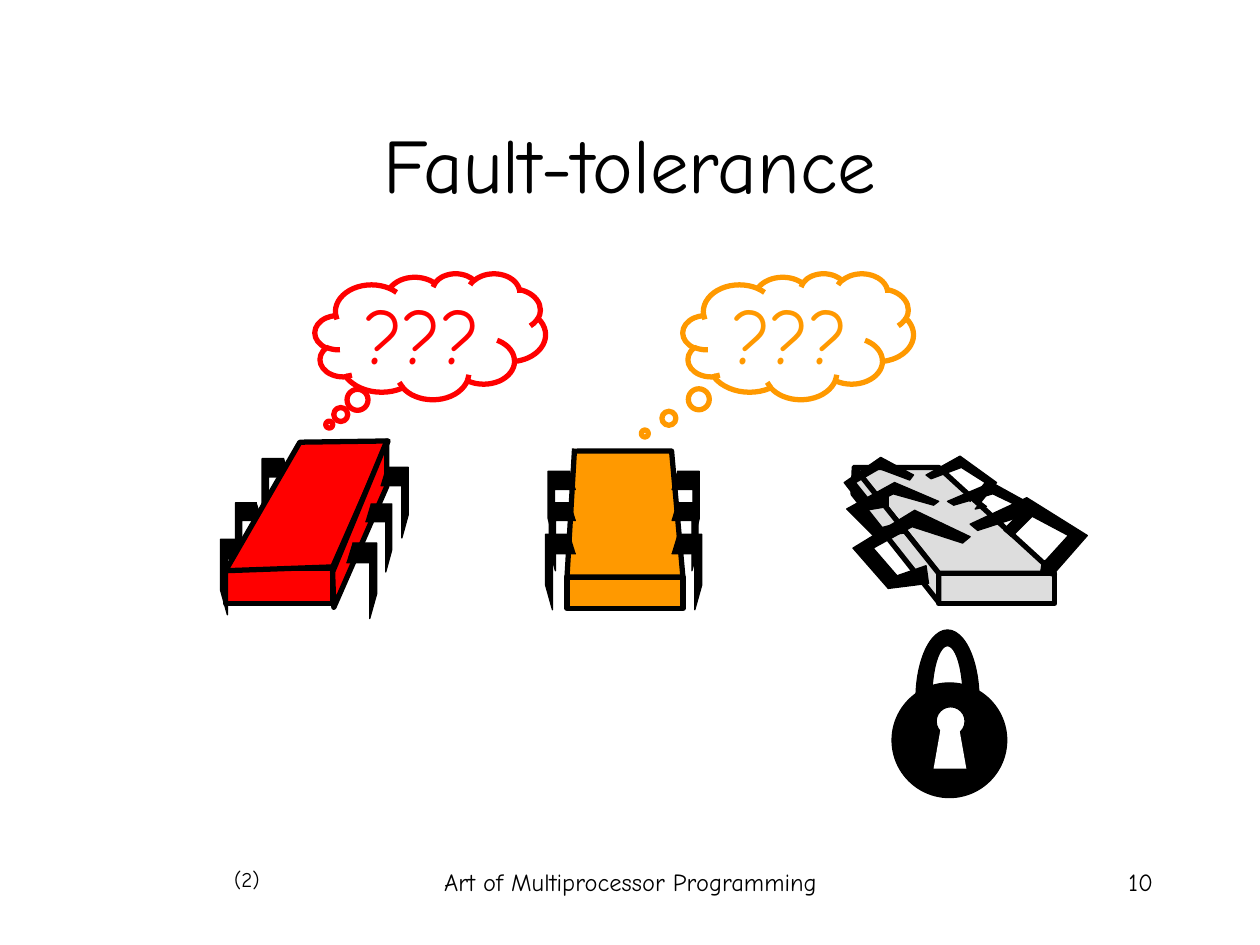
from pptx import Presentation
from pptx.dml.color import RGBColor
from pptx.enum.shapes import MSO_SHAPE
from pptx.enum.text import MSO_ANCHOR, MSO_AUTO_SIZE, PP_ALIGN
from pptx.util import Inches, Pt

RECTANGLE, ELLIPSE = MSO_SHAPE.RECTANGLE, MSO_SHAPE.OVAL
ARC, CLOUD = MSO_SHAPE.BLOCK_ARC, MSO_SHAPE.CLOUD_CALLOUT
LEFT, CENTER, RIGHT = PP_ALIGN.LEFT, PP_ALIGN.CENTER, PP_ALIGN.RIGHT
TOP, MIDDLE = MSO_ANCHOR.TOP, MSO_ANCHOR.MIDDLE

THEME = {
    "font": "Comic Neue",
    "black": "000000", "white": "FFFFFF",
    "red": "FF0000", "orange": "FF9900", "grey": "DDDDDD",
    "large": 44, "footer": 14, "note": 12,
    "thick": 3, "thin": 0.75,
}

TITLE = ("Fault-tolerance", (0.75, 0.67, 8.5, 1.25))
FOOTERS = [  # text, box, alignment, size, wraps
    ("(2)", (1.76, 6.83, 0.4, 0.3), RIGHT, "note", False),
    ("Art of Multiprocessor Programming", (3.42, 6.83, 3.17, 0.5), CENTER, "footer", True),
    ("10", (7.17, 6.83, 2.08, 0.5), RIGHT, "footer", True),
]
THOUGHTS = [  # text, box, colour, tail position
    ("???", (2.5, 2.17, 1.83, 1), "red", (-0.438, 0.7)),
    ("???", (5.42, 2.17, 1.83, 1), "orange", (-0.665, 0.771)),
]

# A leg that bends to the right, as fractions of its box; left legs mirror it.
LEG = [(0.2, 0), (1, 0), (1, 0.67), (0.77, 1), (0.77, 0.26), (0, 0.26)]
LEG_SIZES = [(0.24, 0.6), (0.21, 0.54), (0.22, 0.56)]  # front, middle, back

RED_FRONT = (1.79, 4.51, 0.85, 0.28)
RED_TOP = [(1.79, 4.53), (2.64, 4.5), (3.08, 3.5), (2.38, 3.51)]
RED_SIDE = [(3.07, 3.5), (3.07, 3.86), (2.65, 4.82), (2.64, 4.54)]
RED_LEFT_LEGS = [(1.75, 4.28), (1.87, 3.99), (2.08, 3.64)]
RED_RIGHT_LEGS = [(2.75, 4.31), (2.9, 4), (3.02, 3.71)]

ORANGE_FRONT = (4.5, 4.58, 0.92, 0.25)
ORANGE_TOP = [(4.58, 3.58), (5.33, 3.58), (5.42, 4.58), (4.5, 4.58), (4.56, 3.56)]
ORANGE_RIGHT_LEGS = [(5.33, 4.24), (5.33, 3.99), (5.33, 3.74)]
ORANGE_LEFT_LEGS = [(4.33, 4.24), (4.36, 3.99), (4.35, 3.74)]

GREY_TOP = [(6.78, 3.71), (7.45, 4.55), (8.37, 4.55), (7.45, 3.71)]
GREY_FRONT = (7.45, 4.55, 0.92, 0.24)
GREY_SIDE = [(6.78, 3.71), (6.77, 3.92), (7.45, 4.78), (7.45, 4.55)]
GREY_LEGS = [
    [(7.35, 4.49), (7.37, 4.63), (7.05, 4.67), (6.77, 4.35), (7.26, 4.05),
     (7.7, 4.26), (7.64, 4.31), (7.24, 4.18), (6.93, 4.35), (7.12, 4.57)],
    [(7.18, 4.14), (7.19, 4.23), (6.94, 4.26), (6.72, 4.04), (7.1, 3.83),
     (7.45, 3.98), (7.41, 4.01), (7.09, 3.92), (6.85, 4.04), (6.99, 4.19)],
    [(7.05, 3.93), (7.05, 4.02), (6.87, 4.05), (6.7, 3.83), (6.99, 3.63),
     (7.25, 3.77), (7.22, 3.81), (6.98, 3.72), (6.79, 3.83), (6.91, 3.98)],
    [(7.94, 4.13), (7.97, 4.21), (8.03, 4.26), (8.25, 4.04), (7.87, 3.83),
     (7.52, 3.98), (7.57, 4.01), (7.88, 3.92), (8.13, 4.04), (7.98, 4.19)],
    [(7.7, 3.92), (7.83, 4.02), (7.74, 4.04), (7.91, 3.83), (7.62, 3.62),
     (7.35, 3.77), (7.39, 3.8), (7.63, 3.71), (7.82, 3.83), (7.7, 3.98)],
    [(8.31, 4.49), (8.27, 4.48), (8.26, 4.54), (8.35, 4.57), (8.63, 4.25),
     (8.15, 3.95), (7.7, 4.16), (7.76, 4.21), (8.16, 4.08), (8.48, 4.25),
     (8.28, 4.47), (8.31, 4.45), (8.27, 4.45), (8.24, 4.45)],
]

LOCK_BODY = (7.08, 5.42, 0.91, 0.91)
KEYHOLE = (7.43, 5.61, 0.23, 0.23)
KEYHOLE_SLOT = [(7.41, 6.1), (7.67, 6.1), (7.61, 5.76), (7.47, 5.76)]
SHACKLE = (7.27, 5, 0.5, 1.1)
SHACKLE_ARC = (108, 0, 0.25)


def color(name):
    return RGBColor.from_string(THEME[name])


def inches(values):
    return [Inches(value) for value in values]


def paint(shape, fill, line="black", weight="thick"):
    """Fill and outline a shape; None leaves that part out."""
    shape.shadow.inherit = False
    for part, name in ((shape.fill, fill), (shape.line.fill, line)):
        if name is None:
            part.background()
        else:
            part.solid()
            part.fore_color.rgb = color(name)
    if line:
        shape.line.width = Pt(THEME[weight])
    return shape


def add_preset(parent, kind, box, adjustments=(), **look):
    shape = parent.shapes.add_shape(kind, *inches(box))
    for index, value in enumerate(adjustments):
        shape.adjustments[index] = value
    return paint(shape, **look)


def add_outline(parent, points, close=True, **look):
    start, *rest = [inches(point) for point in points]
    builder = parent.shapes.build_freeform(*start, scale=1.0)
    builder.add_line_segments(rest, close=close)
    return paint(builder.convert_to_shape(), **look)


def add_legs(robot, corners, mirrored=False):
    for (left, top), (width, height) in zip(corners, LEG_SIZES):
        points = [(left + width * (1 - x if mirrored else x), top + height * y)
                  for x, y in LEG]
        add_outline(robot, points, close=False, fill="black", weight="thin")


def write(shape, text, size, ink="black", align=CENTER, anchor=MIDDLE, wrap=True):
    frame = shape.text_frame
    frame.word_wrap = wrap
    frame.vertical_anchor = anchor
    para = frame.paragraphs[0]
    para.text = text
    para.alignment = align
    font = para.runs[0].font
    for name, value in {"name": THEME["font"], "size": Pt(THEME[size])}.items():
        setattr(font, name, value)
    font.color.rgb = color(ink)


def add_thought(page, text, box, ink, tail):
    cloud = add_preset(page, CLOUD, box, tail, fill=None, line=ink)
    write(cloud, text, "large", ink)


def add_red_robot(page):
    robot = page.shapes.add_group_shape()
    add_preset(robot, RECTANGLE, RED_FRONT, fill="red")
    add_legs(robot, RED_LEFT_LEGS, mirrored=True)
    for face in (RED_TOP, RED_SIDE):
        add_outline(robot, face, fill="red")
    add_legs(robot, RED_RIGHT_LEGS)


def add_orange_robot(page):
    robot = page.shapes.add_group_shape()
    add_preset(robot, RECTANGLE, ORANGE_FRONT, fill="orange")
    add_outline(robot, ORANGE_TOP, close=False, fill="orange")
    add_legs(robot, ORANGE_RIGHT_LEGS)
    add_legs(robot, ORANGE_LEFT_LEGS, mirrored=True)


def add_grey_robot(page):
    robot = page.shapes.add_group_shape()
    add_outline(robot, GREY_TOP, fill="grey")
    add_preset(robot, RECTANGLE, GREY_FRONT, fill="grey")
    add_outline(robot, GREY_SIDE, fill="grey")
    for leg in GREY_LEGS:
        add_outline(robot, leg, fill="black", weight="thin")


def add_lock(page):
    lock = page.shapes.add_group_shape()
    add_preset(lock, ELLIPSE, LOCK_BODY, fill="black", weight="thin")
    add_preset(lock, ELLIPSE, KEYHOLE, fill="white", weight="thin")
    add_outline(lock, KEYHOLE_SLOT, fill="white", line=None)
    add_preset(lock, ARC, SHACKLE, SHACKLE_ARC, fill="black", weight="thin")


def main():
    deck = Presentation()
    deck.slide_width, deck.slide_height = Inches(10), Inches(7.5)
    page = deck.slides.add_slide(deck.slide_layouts[5])

    text, box = TITLE
    title = page.shapes.title
    title.left, title.top, title.width, title.height = inches(box)
    write(title, text, "large")

    add_red_robot(page)
    add_thought(page, *THOUGHTS[0])
    add_grey_robot(page)
    add_lock(page)
    add_thought(page, *THOUGHTS[1])
    add_orange_robot(page)

    for text, box, align, size, wrap in FOOTERS:
        footer = page.shapes.add_textbox(*inches(box))
        write(footer, text, size, align=align, anchor=TOP, wrap=wrap)
        if not wrap:
            footer.text_frame.auto_size = MSO_AUTO_SIZE.SHAPE_TO_FIT_TEXT
    deck.save("out.pptx")


if __name__ == "__main__":
    main()
